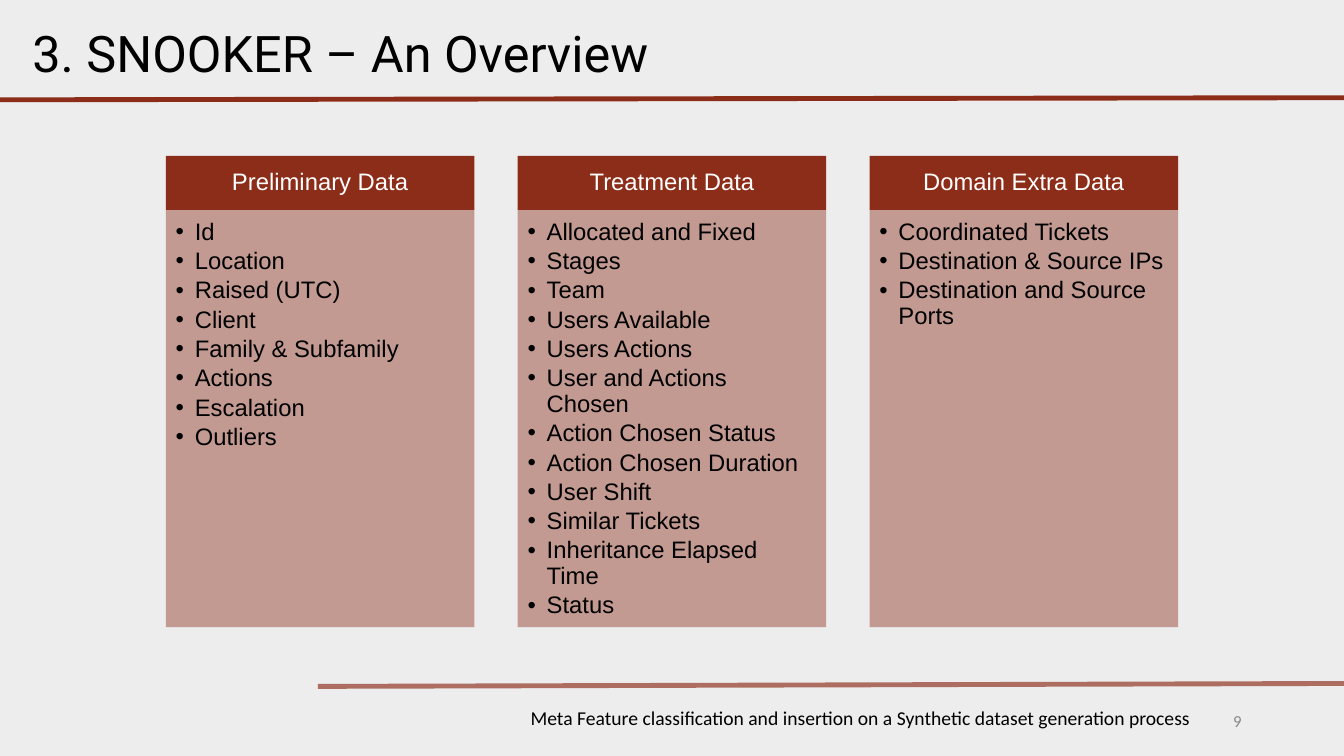
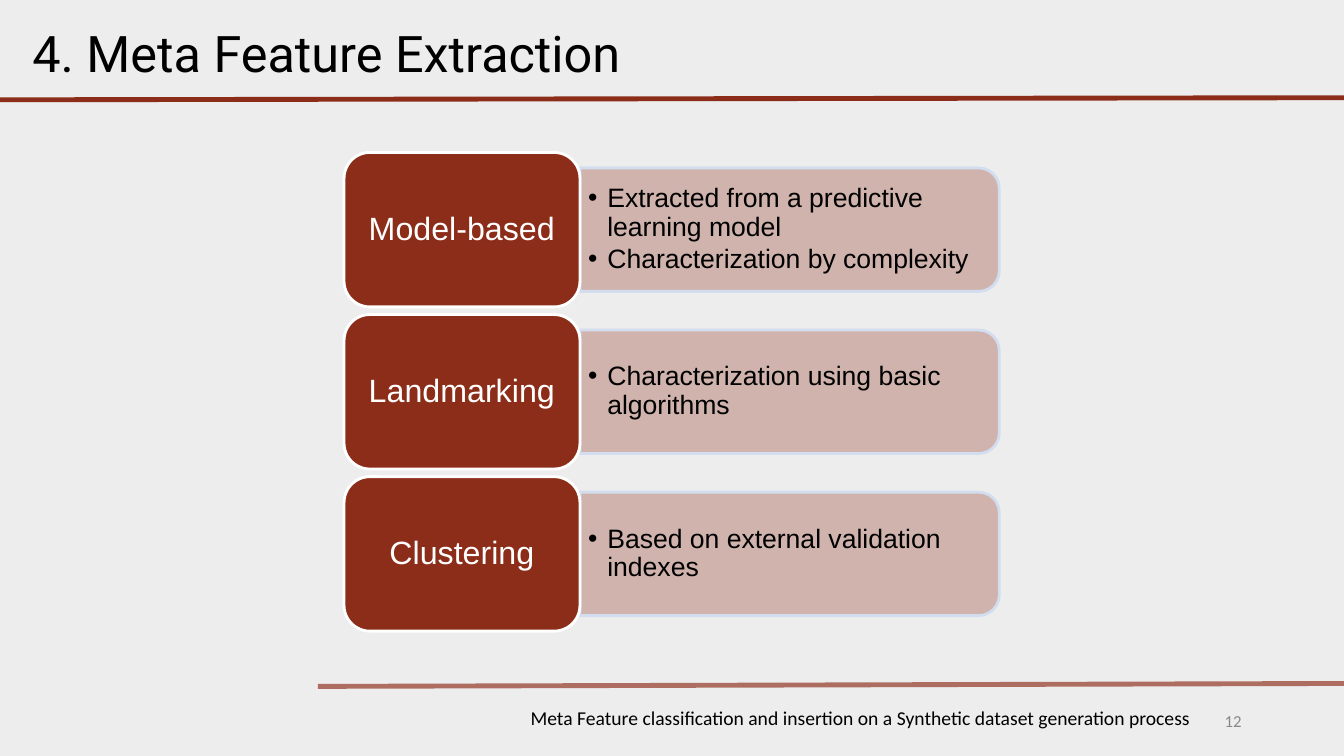
from dataclasses import dataclass

from lxml import etree
from pptx import Presentation
from pptx.dml.color import RGBColor
from pptx.enum.shapes import MSO_CONNECTOR, MSO_SHAPE
from pptx.enum.text import MSO_ANCHOR, MSO_AUTO_SIZE, PP_ALIGN
from pptx.oxml.ns import qn
from pptx.util import Pt

LEFT, CENTER, RIGHT = PP_ALIGN.LEFT, PP_ALIGN.CENTER, PP_ALIGN.RIGHT
TOP, MIDDLE = MSO_ANCHOR.TOP, MSO_ANCHOR.MIDDLE
RECTANGLE = MSO_SHAPE.RECTANGLE
ROUNDED = MSO_SHAPE.ROUNDED_RECTANGLE
ROUNDED_TOP = MSO_SHAPE.ROUND_2_SAME_RECTANGLE
STRAIGHT = MSO_CONNECTOR.STRAIGHT
NO_AUTOFIT = MSO_AUTO_SIZE.NONE

# Colours
BACKGROUND = RGBColor(0xED, 0xED, 0xED)
RUST = RGBColor(0x8C, 0x2D, 0x19)
PALE_BLUE = RGBColor(0xD2, 0xDE, 0xEF)
GRAY = RGBColor(0x88, 0x88, 0x88)
WHITE = RGBColor(0xFF, 0xFF, 0xFF)
BLACK = RGBColor(0, 0, 0)

# Slide layout, in points
SLIDE_WIDTH, SLIDE_HEIGHT = 960, 540
FOOTER = "Meta Feature classification and insertion on a Synthetic dataset generation process"
TITLE_ONLY = 5
BULLET_INDENT = 13.7
LINE_SPACING = 0.9
BULLET_GAP = 0.15  # share of the text size


@dataclass(frozen=True)
class Box:
    left: float
    top: float
    width: float
    height: float


@dataclass(frozen=True)
class TextStyle:
    font: str
    size: float
    color: RGBColor
    align: PP_ALIGN = LEFT
    anchor: MSO_ANCHOR = TOP
    insets: tuple[float, float, float, float] = (7.2, 3.6, 7.2, 3.6)
    spacing: float | None = None
    bullets: bool = False


@dataclass(frozen=True)
class Topic:
    heading: str
    items: tuple[str, ...]


TITLE_STYLE = TextStyle("Roboto", 36, BLACK)
FOOTER_STYLE = TextStyle("Calibri", 14, BLACK, CENTER)
NUMBER_STYLE = TextStyle("Calibri", 12, GRAY, RIGHT, MIDDLE)
COLUMN_HEADING = TextStyle("Arial", 17, WHITE, CENTER, MIDDLE, (9.4, 5.4, 9.4, 5.4), LINE_SPACING)
COLUMN_LIST = TextStyle("Arial", 17, BLACK, LEFT, TOP, (7, 7, 9.4, 10.5), LINE_SPACING, True)
ROW_HEADING = TextStyle("Arial", 23, WHITE, CENTER, MIDDLE, spacing=LINE_SPACING)
ROW_LIST = TextStyle("Arial", 19, BLACK, LEFT, MIDDLE, (5.8, 2.9, 5.8, 2.9), LINE_SPACING, True)

TICKET_DATA = (
    Topic("Preliminary Data", (
        "Id", "Location", "Raised (UTC)", "Client", "Family & Subfamily",
        "Actions", "Escalation", "Outliers")),
    Topic("Treatment Data", (
        "Allocated and Fixed", "Stages", "Team", "Users Available", "Users Actions",
        "User and Actions Chosen", "Action Chosen Status", "Action Chosen Duration",
        "User Shift", "Similar Tickets", "Inheritance Elapsed Time", "Status")),
    Topic("Domain Extra Data", (
        "Coordinated Tickets", "Destination & Source IPs", "Destination and Source Ports")),
)
META_FEATURES = (
    Topic("Model-based", (
        "Extracted from a predictive learning model", "Characterization by complexity")),
    Topic("Landmarking", ("Characterization using basic algorithms",)),
    Topic("Clustering", ("Based on external validation indexes",)),
)


def lengths(box: Box) -> tuple:
    return Pt(box.left), Pt(box.top), Pt(box.width), Pt(box.height)


def add_bullet(paragraph, color: RGBColor) -> None:
    properties = paragraph._p.get_or_add_pPr()
    properties.set("marL", str(Pt(BULLET_INDENT)))
    properties.set("indent", str(-Pt(BULLET_INDENT)))
    bullet_color = etree.SubElement(properties, qn("a:buClr"))
    etree.SubElement(bullet_color, qn("a:srgbClr"), val=str(color))
    etree.SubElement(properties, qn("a:buFont"), typeface="Arial")
    etree.SubElement(properties, qn("a:buChar"), char="•")


def write_text(shape, lines: tuple[str, ...], style: TextStyle) -> None:
    frame = shape.text_frame
    frame.word_wrap = True
    frame.auto_size = NO_AUTOFIT
    frame.vertical_anchor = style.anchor
    (frame.margin_left, frame.margin_top,
     frame.margin_right, frame.margin_bottom) = map(Pt, style.insets)
    frame.text = "\n".join(lines)
    for paragraph in frame.paragraphs:
        if style.bullets:
            add_bullet(paragraph, style.color)
            paragraph.space_after = Pt(round(style.size * BULLET_GAP, 2))
        paragraph.alignment = style.align
        if style.spacing:
            paragraph.line_spacing = style.spacing
        paragraph.font.name = style.font
        paragraph.font.size = Pt(style.size)
        paragraph.font.color.rgb = style.color


def set_opacity(shape, percent: int) -> None:
    """Apply opacity to the first colour: the fill, or a connector's line."""
    color = shape._element.spPr.find(".//" + qn("a:srgbClr"))
    etree.SubElement(color, qn("a:alpha"), val=str(percent * 1000))


def add_text(slide, box: Box, lines: tuple[str, ...], style: TextStyle) -> None:
    write_text(slide.shapes.add_textbox(*lengths(box)), lines, style)


def add_panel(slide, kind: MSO_SHAPE, box: Box, outline: RGBColor | None = None,
              opacity: int = 100):
    shape = slide.shapes.add_shape(kind, *lengths(box))
    shape.shadow.inherit = False
    shape.fill.solid()
    shape.fill.fore_color.rgb = RUST
    if outline is None:
        shape.line.fill.background()
    else:
        shape.line.color.rgb = outline
        shape.line.width = Pt(2)
    if opacity < 100:
        set_opacity(shape, opacity)
    return shape


def add_rule(slide, left: float, start_y: float, end_y: float, opacity: int = 100) -> None:
    rule = slide.shapes.add_connector(
        STRAIGHT, Pt(left), Pt(start_y), Pt(SLIDE_WIDTH), Pt(end_y))
    rule.line.color.rgb = RUST
    rule.line.width = Pt(3.5)
    etree.SubElement(rule._element.spPr, qn("a:effectLst"))
    if opacity < 100:
        set_opacity(rule, opacity)


def add_base_slide(presentation, title: str, number: int):
    """Add a slide with the shared title, rules, footer and number."""
    slide = presentation.slides.add_slide(presentation.slide_layouts[TITLE_ONLY])
    heading = slide.shapes.title
    heading.left, heading.top, heading.width, heading.height = lengths(Box(16, 12.2, 928, 51))
    write_text(heading, (title,), TITLE_STYLE)
    add_rule(slide, 0, 71.3, 69.8)
    add_rule(slide, 227, 490.3, 488.2, opacity=65)
    add_text(slide, Box(317, 500.4, 595.5, 28.8), (FOOTER,), FOOTER_STYLE)
    add_text(slide, Box(678, 500.4, 216, 28.8), (str(number),), NUMBER_STYLE)
    return slide


def add_columns(slide, topics: tuple[Topic, ...]) -> None:
    top, width, gap = 111.4, 220.4, 30.9
    heading_height, list_height = 38.6, 298
    left = (SLIDE_WIDTH - len(topics) * width - (len(topics) - 1) * gap) / 2
    for index, topic in enumerate(topics):
        column_left = left + index * (width + gap)
        heading = add_panel(slide, RECTANGLE, Box(column_left, top, width, heading_height))
        write_text(heading, (topic.heading,), COLUMN_HEADING)
        body = add_panel(
            slide, RECTANGLE,
            Box(column_left, top + heading_height, width, list_height), opacity=43)
        write_text(body, topic.items, COLUMN_LIST)


def add_rows(slide, topics: tuple[Topic, ...]) -> None:
    left, top, pitch = 245.8, 108.9, 115.8
    heading_width, heading_height = 168.5, 110.3
    detail_width, detail_height = 299.5, 88.2
    text_width, text_height = 295, 80
    detail_left = left + heading_width
    for index, topic in enumerate(topics):
        row_top = top + index * pitch
        middle = row_top + heading_height / 2
        # Detail panel: an upright shape turned so its round corners face right
        detail = add_panel(
            slide, ROUNDED_TOP,
            Box(detail_left + (detail_width - detail_height) / 2, middle - detail_width / 2,
                detail_height, detail_width),
            PALE_BLUE, opacity=30)
        detail.rotation = 90
        add_text(slide, Box(detail_left, middle - text_height / 2, text_width, text_height),
                 topic.items, ROW_LIST)
        heading = add_panel(
            slide, ROUNDED, Box(left, row_top, heading_width, heading_height), WHITE)
        write_text(heading, (topic.heading,), ROW_HEADING)


def main() -> None:
    presentation = Presentation()
    presentation.slide_width, presentation.slide_height = Pt(SLIDE_WIDTH), Pt(SLIDE_HEIGHT)
    background = presentation.slide_master.background.fill
    background.solid()
    background.fore_color.rgb = BACKGROUND

    # Overview of the data groups
    add_columns(add_base_slide(presentation, "3. SNOOKER – An Overview", 9), TICKET_DATA)
    # Families of meta features
    add_rows(add_base_slide(presentation, "4. Meta Feature Extraction", 12), META_FEATURES)
    presentation.save("out.pptx")


if __name__ == "__main__":
    main()
